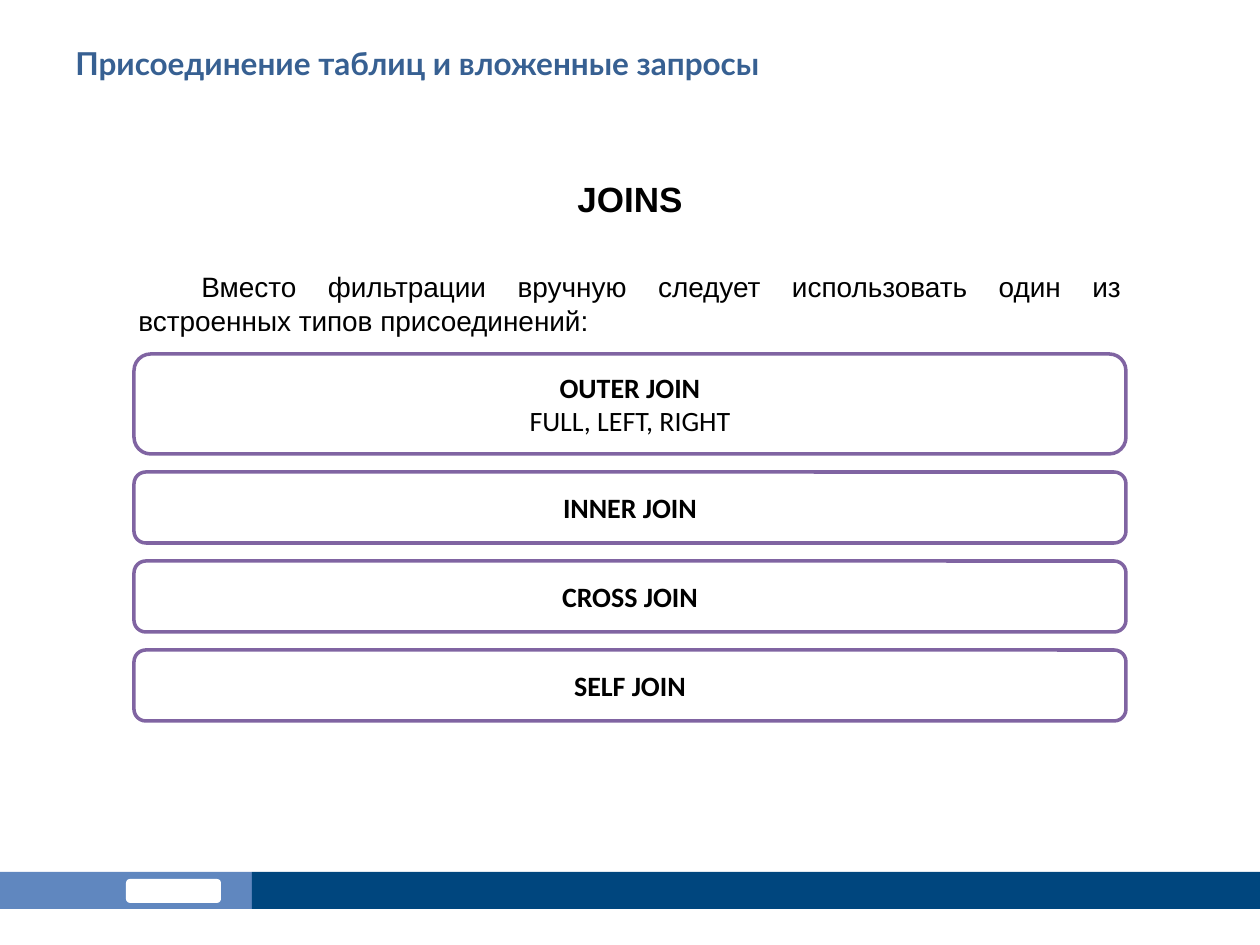
import pptx
import pptx.util
import pptx.dml.color
import pptx.enum.shapes
import pptx.enum.text

PX = 914400 // 126
SHAPES = pptx.enum.shapes.MSO_SHAPE
ALIGN = pptx.enum.text.PP_ALIGN
ANCHOR = pptx.enum.text.MSO_ANCHOR


def color(value):
    return pptx.dml.color.RGBColor.from_string(value)


def write(paragraph, text, font_color, align, **font_values):
    paragraph.alignment = align
    run = paragraph.add_run()
    run.text = text
    run.font.color.rgb = color(font_color)
    for name, value in font_values.items():
        setattr(run.font, name, value)


presentation = pptx.Presentation()
presentation.slide_width = pptx.util.Inches(10)
presentation.slide_height = pptx.util.Inches(7.5)
slide = presentation.slides.add_slide(presentation.slide_layouts[6])

footer_parts = [
    (SHAPES.RECTANGLE, 0, 872, 252, 37, "6087BF"),
    (SHAPES.RECTANGLE, 252, 872, 1008, 37, "00467E"),
    (SHAPES.ROUNDED_RECTANGLE, 126, 879, 95, 24, "FFFFFF"),
]
for kind, left, top, width, height, fill in footer_parts:
    shape = slide.shapes.add_shape(kind, left * PX, top * PX, width * PX, height * PX)
    shape.shadow.inherit = False
    shape.fill.solid()
    shape.fill.fore_color.rgb = color(fill)
    shape.line.fill.background()

title = slide.shapes.add_textbox(63 * PX, 38 * PX, 1134 * PX, 98 * PX)
title.text_frame.word_wrap = True
write(title.text_frame.paragraphs[0], "Присоединение таблиц и вложенные запросы",
      "376092", ALIGN.LEFT, name="Lato", size=pptx.util.Pt(18), bold=True)

body = slide.shapes.add_textbox(126 * PX, 171 * PX, 1008 * PX, 658 * PX)
body.text_frame.word_wrap = True
write(body.text_frame.paragraphs[0], "JOINS", "000000", ALIGN.CENTER,
      name="Arial", size=pptx.util.Pt(20), bold=True)
paragraph = body.text_frame.add_paragraph()
paragraph.space_before = pptx.util.Pt(29)
paragraph._p.get_or_add_pPr().set("indent", str(63 * PX))
write(paragraph, "Вместо фильтрации вручную следует использовать один из встроенных типов присоединений:",
      "000000", ALIGN.JUSTIFY, name="Arial", size=pptx.util.Pt(16), bold=False)

joins = [
    (100, ["OUTER JOIN", "FULL, LEFT, RIGHT"]),
    (71, ["INNER JOIN"]),
    (71, ["CROSS JOIN"]),
    (71, ["SELF JOIN"]),
]
gap = 18
top = 354
for height, lines in joins:
    shape = slide.shapes.add_shape(SHAPES.ROUNDED_RECTANGLE, 134 * PX, top * PX, 992 * PX, height * PX)
    shape.shadow.inherit = False
    shape.fill.solid()
    shape.fill.fore_color.rgb = color("FFFFFF")
    shape.line.color.rgb = color("8064A2")
    shape.line.width = pptx.util.Pt(2)
    frame = shape.text_frame
    frame.word_wrap = True
    frame.vertical_anchor = ANCHOR.MIDDLE
    for index, line in enumerate(lines):
        paragraph = frame.add_paragraph() if index else frame.paragraphs[0]
        write(paragraph, line, "000000", ALIGN.CENTER,
              name="Calibri", size=pptx.util.Pt(16), bold=index == 0)
    top += height + gap

presentation.save("out.pptx")
